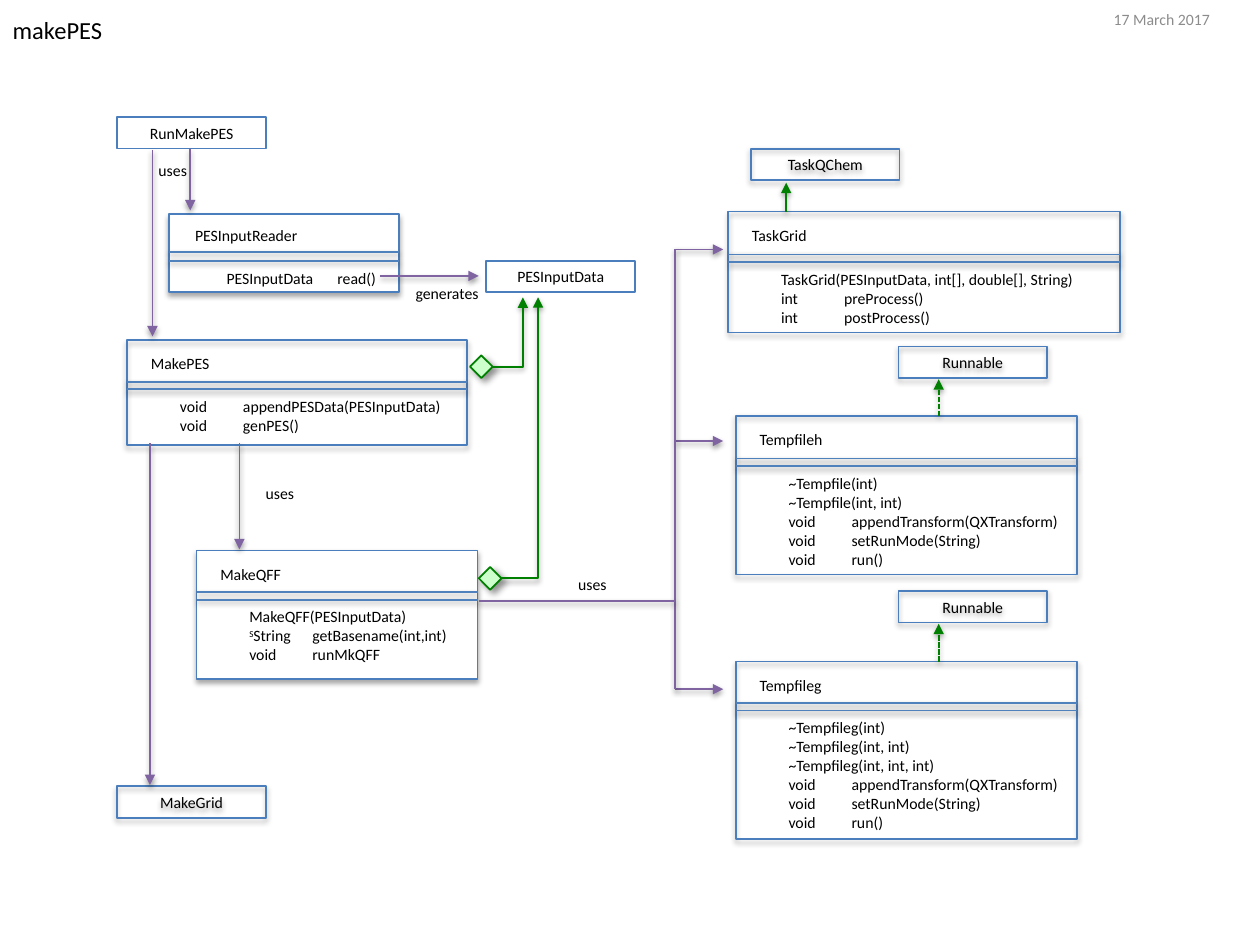
from dataclasses import dataclass
from typing import Any

from lxml.etree import SubElement
from pptx import Presentation
from pptx.dml.color import RGBColor
from pptx.enum.dml import MSO_LINE
from pptx.enum.shapes import MSO_CONNECTOR, MSO_SHAPE
from pptx.enum.text import MSO_ANCHOR as Anchor, MSO_AUTO_SIZE as AutoSize, PP_ALIGN as Align
from pptx.oxml.ns import qn
from pptx.util import Inches, Pt


@dataclass(frozen=True)
class Theme:
    font: str = "Calibri"
    title_size: float = 14
    text_size: float = 9
    line_width: float = 1
    text: str = "000000"
    date: str = "8C8C8C"
    outline: str = "4B7EBC"
    divider: str = "4F81BD"
    use: str = "8064A2"
    inherit: str = "008000"
    diamond: str = "CCFFCC"
    paper: str = "FFFFFF"


@dataclass(frozen=True)
class Shadow:
    opacity: int
    blur: float
    distance: float
    angle: int = 90


@dataclass(frozen=True)
class NameBox:
    name: str
    left: float
    top: float
    shadow: bool = True


@dataclass(frozen=True)
class ClassBox:
    name: str
    left: float
    top: float
    width: float
    height: float
    members: tuple[str, ...]
    filled: bool = False
    header: float = 0.33
    gap: float = 0.06
    name_at: tuple[float, float] = (0.09, 0.06)
    indent: float = 0.32
    tab: float = 0.5


@dataclass(frozen=True)
class Link:
    start: tuple[float, float]
    end: tuple[float, float]
    color: str
    arrow: bool = True
    dashed: bool = False


@dataclass(frozen=True)
class Label:
    text: str
    left: float
    top: float
    width: float


THEME = Theme()
LINE_SHADOW = Shadow(38, 3.1, 1.6)
BOX_SHADOW = Shadow(35, 3.1, 1.8)
DIAMOND_SHADOW = Shadow(43, 4, 3, 45)
SUPERSCRIPT = "^"
CLASS_NAME_WIDTH = 1.3
FRAME = {"word_wrap": False, "auto_size": AutoSize.SHAPE_TO_FIT_TEXT, "vertical_anchor": Anchor.TOP}

NAME_BOXES = (
    NameBox("RunMakePES", 0.93, 0.93, False), NameBox("PESInputData", 3.86, 2.07, False),
    NameBox("MakeGrid", 0.93, 6.24), NameBox("TaskQChem", 5.96, 1.18),
    NameBox("Runnable", 7.13, 2.75), NameBox("Runnable", 7.13, 4.69),
)
TRANSFORM_MEMBERS = ("void\tappendTransform(QXTransform)", "void\tsetRunMode(String)", "void\trun()")
CLASS_BOXES = (
    ClassBox("PESInputReader", 1.34, 1.7, 1.83, 0.62, ("PESInputData\tread()",), True,
             0.3, 0.07, (0.11, 0.04), 0.36, 0.88),
    ClassBox("MakePES", 1.01, 2.7, 2.7, 0.83, ("void\tappendPESData(PESInputData)", "void\tgenPES()")),
    ClassBox("MakeQFF", 1.56, 4.37, 2.23, 1.02,
             ("MakeQFF(PESInputData)", "S^String\tgetBasename(int,int)", "void\trunMkQFF"), True),
    ClassBox("TaskGrid", 5.78, 1.68, 3.11, 0.96,
             ("TaskGrid(PESInputData, int[], double[], String)", "int\tpreProcess()", "int\tpostProcess()"),
             header=0.34),
    ClassBox("Tempfileh", 5.84, 3.3, 2.71, 1.26,
             ("~Tempfile(int)", "~Tempfile(int, int)") + TRANSFORM_MEMBERS, header=0.34),
    ClassBox("Tempfileg", 5.84, 5.25, 2.71, 1.41,
             ("~Tempfileg(int)", "~Tempfileg(int, int)", "~Tempfileg(int, int, int)") + TRANSFORM_MEMBERS),
)
BUS_X, BUS_TOP, BUS_BOTTOM = 5.36, 1.98, 5.47
LINKS = (
    Link((1.21, 1.19), (1.21, 2.67), THEME.use), Link((1.51, 1.18), (1.51, 1.67), THEME.use),
    Link((1.19, 3.52), (1.19, 6.23), THEME.use), Link((1.9, 3.52), (1.9, 4.36), THEME.use),
    Link((3.02, 2.19), (3.8, 2.19), THEME.use), Link((6.24, 1.68), (6.24, 1.45), THEME.inherit),
    Link((7.45, 3.3), (7.45, 3.01), THEME.inherit, dashed=True),
    Link((7.45, 5.25), (7.45, 4.95), THEME.inherit, dashed=True),
    *(Link((BUS_X, y), (5.74, y), THEME.use) for y in (BUS_TOP, 3.5, BUS_BOTTOM)),
    Link((BUS_X, BUS_BOTTOM), (BUS_X, BUS_TOP), THEME.use, arrow=False),
    Link((3.8, 4.77), (BUS_X, 4.77), THEME.use, arrow=False),
)
LABELS = (Label("generates", 3.2, 2.2, 0.71), Label("uses", 1.16, 1.23, 0.43),
          Label("uses", 2.01, 3.79, 0.43), Label("uses", 4.49, 4.51, 0.43))
# Left and top of each diamond, then the x of its rising arrow
AGGREGATIONS = ((3.73, 2.82, 4.15), (3.8, 4.5, 4.27))


def apply(target: Any, values: dict[str, Any]) -> None:
    for name, value in values.items():
        setattr(target, name, value)


def style_line(shape: Any, color: str, arrow: bool = False) -> None:
    shape.line.color.rgb = RGBColor.from_string(color)
    shape.line.width = Pt(THEME.line_width)
    if arrow:
        SubElement(shape.line._get_or_add_ln(), qn("a:tailEnd"), type="triangle")


def set_fill(shape: Any, color: str | None) -> None:
    if color is None:
        shape.fill.background()
    else:
        shape.fill.solid()
        shape.fill.fore_color.rgb = RGBColor.from_string(color)


def set_shadow(shape: Any, shadow: Shadow | None) -> None:
    effects = SubElement(shape._element.spPr, qn("a:effectLst"))
    if shadow:
        outer = SubElement(effects, qn("a:outerShdw"), blurRad=str(Pt(shadow.blur)),
                           dist=str(Pt(shadow.distance)), dir=str(shadow.angle * 60000), rotWithShape="0")
        color = SubElement(outer, qn("a:srgbClr"), val="000000")
        SubElement(color, qn("a:alpha"), val=str(shadow.opacity * 1000))


def write(shape: Any, lines: tuple[str, ...], size: float = THEME.text_size, color: str = THEME.text,
          align: Align = Align.LEFT, tab: float | None = None, **frame: Any) -> None:
    text_frame = shape.text_frame
    apply(text_frame, FRAME | frame)
    for index, line in enumerate(lines):
        paragraph = text_frame.paragraphs[0] if index == 0 else text_frame.add_paragraph()
        paragraph.alignment = align
        if tab:
            tabs = SubElement(paragraph._p.get_or_add_pPr(), qn("a:tabLst"))
            SubElement(tabs, qn("a:tab"), pos=str(Inches(tab)), algn="l")
        raised, _, normal = line.rpartition(SUPERSCRIPT)
        for text, baseline in ((raised, "30000"), (normal, "0")):
            if text:
                run = paragraph.add_run()
                run.text = text
                apply(run.font, {"name": THEME.font, "size": Pt(size)})
                run.font.color.rgb = RGBColor.from_string(color)
                run._r.get_or_add_rPr().set("baseline", baseline)


def add_text(shapes: Any, box: tuple[float, ...], lines: tuple[str, ...], **options: Any) -> None:
    write(shapes.add_textbox(*map(Inches, box)), lines, **options)


def add_box(shapes: Any, kind: MSO_SHAPE, box: tuple[float, ...], fill: str | None,
            line: str, shadow: Shadow | None) -> Any:
    shape = shapes.add_shape(kind, *map(Inches, box))
    set_fill(shape, fill)
    style_line(shape, line)
    set_shadow(shape, shadow)
    return shape


def add_link(shapes: Any, link: Link) -> None:
    connector = shapes.add_connector(MSO_CONNECTOR.STRAIGHT, *map(Inches, link.start + link.end))
    if link.dashed:
        connector.line.dash_style = MSO_LINE.SQUARE_DOT
    style_line(connector, link.color, link.arrow)
    set_shadow(connector, LINE_SHADOW)


def add_class(shapes: Any, box: ClassBox) -> None:
    area = (box.left, box.top, box.width, box.height)
    add_box(shapes, MSO_SHAPE.RECTANGLE, area, THEME.paper if box.filled else None, THEME.outline, BOX_SHADOW)
    body_top = box.top + box.header + box.gap
    for y in (box.top + box.header, body_top):
        add_link(shapes, Link((box.left, y), (box.left + box.width, y), THEME.divider, arrow=False))
    add_text(shapes, (box.left + box.name_at[0], box.top + box.name_at[1], CLASS_NAME_WIDTH, 0.25),
             (box.name,), word_wrap=True)
    add_text(shapes, (box.left + box.indent, body_top + 0.01, box.width - box.indent + 0.1,
                      0.1 + 0.15 * len(box.members)), box.members, tab=box.tab, word_wrap=True)


def add_aggregation(shapes: Any, left: float, top: float, arrow_x: float, side: float = 0.18) -> None:
    add_box(shapes, MSO_SHAPE.DIAMOND, (left, top, side, side), THEME.diamond, THEME.inherit, DIAMOND_SHADOW)
    middle = top + side / 2
    builder = shapes.build_freeform(Inches(left + side), Inches(middle))
    builder.add_line_segments([(Inches(arrow_x), Inches(y)) for y in (middle, 2.36)], close=False)
    arrow = builder.convert_to_shape()
    set_fill(arrow, None)
    style_line(arrow, THEME.inherit, arrow=True)
    set_shadow(arrow, LINE_SHADOW)


presentation = Presentation()
apply(presentation, {"slide_width": Inches(10), "slide_height": Inches(7.5)})
slide = presentation.slides.add_slide(presentation.slide_layouts[5])

# Title and date
title = slide.shapes.title
apply(title, {"left": Inches(0), "top": Inches(0.07), "width": Inches(0.93), "height": Inches(0.34)})
write(title, ("makePES",), size=THEME.title_size)
add_text(slide.shapes, (8.74, 0.01, 1.26, 0.29), ("17 March 2017",), color=THEME.date,
         word_wrap=True, auto_size=AutoSize.NONE, vertical_anchor=Anchor.MIDDLE)

# Classes, each in its own group
for class_box in CLASS_BOXES:
    add_class(slide.shapes.add_group_shape().shapes, class_box)
for item in NAME_BOXES:
    rectangle = add_box(slide.shapes, MSO_SHAPE.RECTANGLE, (item.left, item.top, 1.18, 0.25), None,
                        THEME.outline, BOX_SHADOW if item.shadow else None)
    write(rectangle, (item.name,), align=Align.CENTER, word_wrap=True, auto_size=AutoSize.NONE,
          vertical_anchor=Anchor.MIDDLE)

# Relations and their labels
for relation in LINKS:
    add_link(slide.shapes, relation)
for aggregation in AGGREGATIONS:
    add_aggregation(slide.shapes.add_group_shape().shapes, *aggregation)
for label in LABELS:
    add_text(slide.shapes, (label.left, label.top, label.width, 0.25), (label.text,))

presentation.save("out.pptx")
